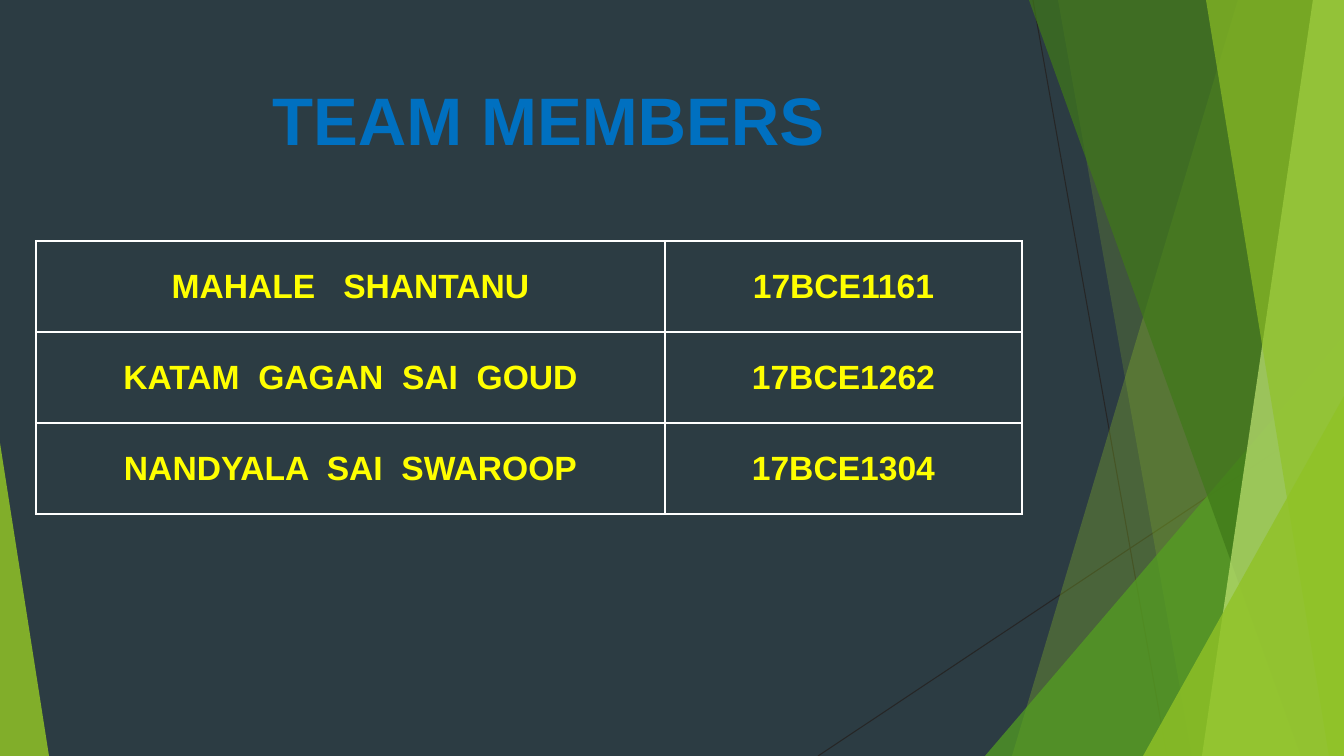
from lxml.etree import SubElement
from pptx import Presentation
from pptx.dml.color import RGBColor
from pptx.enum.shapes import MSO_CONNECTOR, MSO_SHAPE
from pptx.enum.text import MSO_ANCHOR, PP_ALIGN
from pptx.oxml import parse_xml
from pptx.oxml.ns import nsdecls, qn
from pptx.util import Pt

PX = 914400 / 100.8
WIDTH, HEIGHT = 1344, 756
THEME = {
    "font": "Arial", "title_size": 48, "member_size": 24,
    "background": "2C3C43", "title": "0070C0", "member": "FFFF00",
    "border": "FFFFFF", "hairline": "262626",
    "lime": "90C226", "green": "54A021", "forest": "3F7819", "pale": "C0E474",
}


def emu(*lengths):
    return [round(length * PX) for length in lengths]


def write(frame, text, size, color, bold=True, align=PP_ALIGN.CENTER):
    paragraph = frame.paragraphs[0]
    paragraph.alignment = align
    run = paragraph.add_run()
    run.text = text
    run.font.name = THEME["font"]
    run.font.size = Pt(THEME[size])
    run.font.bold = bold
    run.font.color.rgb = RGBColor.from_string(THEME[color])


deck = Presentation()
deck.slide_width, deck.slide_height = emu(WIDTH, HEIGHT)
slide = deck.slides.add_slide(deck.slide_layouts[6])
slide.background.fill.solid()
slide.background.fill.fore_color.rgb = RGBColor.from_string(THEME["background"])

# Hairlines behind the facets
for ends in [(1033, 0, 1167, HEIGHT), (WIDTH, 406, 818, HEIGHT)]:
    hairline = slide.shapes.add_connector(MSO_CONNECTOR.STRAIGHT, *emu(*ends))
    hairline.line.color.rgb = RGBColor.from_string(THEME["hairline"])
    hairline.line.width = Pt(0.75)
    SubElement(hairline._element.spPr, qn("a:effectLst"))

# Facets, back to front: (top x, bottom x) of a band that reaches the right
# edge, or (left, top, width, height, apex) of a triangle
facets = [
    ((1238, 1012), "lime", 30),
    ((1058, 1192), "lime", 20),
    ((985, 336, 359, 420, 1), "green", 72),
    ((1029, 1301), "forest", 70),
    ((1313, 1202), "pale", 70),
    ((1206, 1329), "lime", 65),
    ((1143, 396, 201, 360, 1), "lime", 80),
    ((0, 443, 49, 313, 0), "lime", 85),
]
for outline, color, opacity in facets:
    if len(outline) == 2:
        top_x, bottom_x = outline
        band = slide.shapes.build_freeform(top_x, 0, scale=PX)
        band.add_line_segments([(WIDTH, 0), (WIDTH, HEIGHT), (bottom_x, HEIGHT)])
        facet = band.convert_to_shape()
    else:
        *box, apex = outline
        facet = slide.shapes.add_shape(MSO_SHAPE.ISOSCELES_TRIANGLE, *emu(*box))
        facet.adjustments[0] = apex
    facet.shadow.inherit = False
    facet.line.fill.background()
    facet.fill.solid()
    facet.fill.fore_color.rgb = RGBColor.from_string(THEME[color])
    tint = facet._element.spPr.find(qn("a:solidFill"))[0]
    SubElement(tint, qn("a:alpha"), val=str(opacity * 1000))

# Title
title = slide.shapes.add_textbox(*emu(75, 68, 947, 145)).text_frame
title.word_wrap = True
title.vertical_anchor = MSO_ANCHOR.TOP
title.margin_top = emu(10)[0]
write(title, "TEAM MEMBERS", "title_size", "title")

# Team table
members = [
    ("MAHALE   SHANTANU", "17BCE1161"),
    ("KATAM  GAGAN  SAI  GOUD", "17BCE1262"),
    ("NANDYALA  SAI  SWAROOP", "17BCE1304"),
]
column_widths, row_height = (629, 357), 91
team = slide.shapes.add_table(
    len(members), len(column_widths),
    *emu(36, 241, sum(column_widths), row_height * len(members))).table
team.first_row = team.horz_banding = False
for column, width in zip(team.columns, emu(*column_widths)):
    column.width = width
for row, member in zip(team.rows, members):
    row.height = emu(row_height)[0]
    for cell, text in zip(row.cells, member):
        cell.fill.background()
        cell.vertical_anchor = MSO_ANCHOR.MIDDLE
        write(cell.text_frame, text, "member_size", "member")
        for position, side in enumerate(("lnL", "lnR", "lnT", "lnB")):
            cell._tc.get_or_add_tcPr().insert(position, parse_xml(
                f'<a:{side} {nsdecls("a")} w="{Pt(1)}"><a:solidFill>'
                f'<a:srgbClr val="{THEME["border"]}"/></a:solidFill></a:{side}>'))

deck.save("out.pptx")
